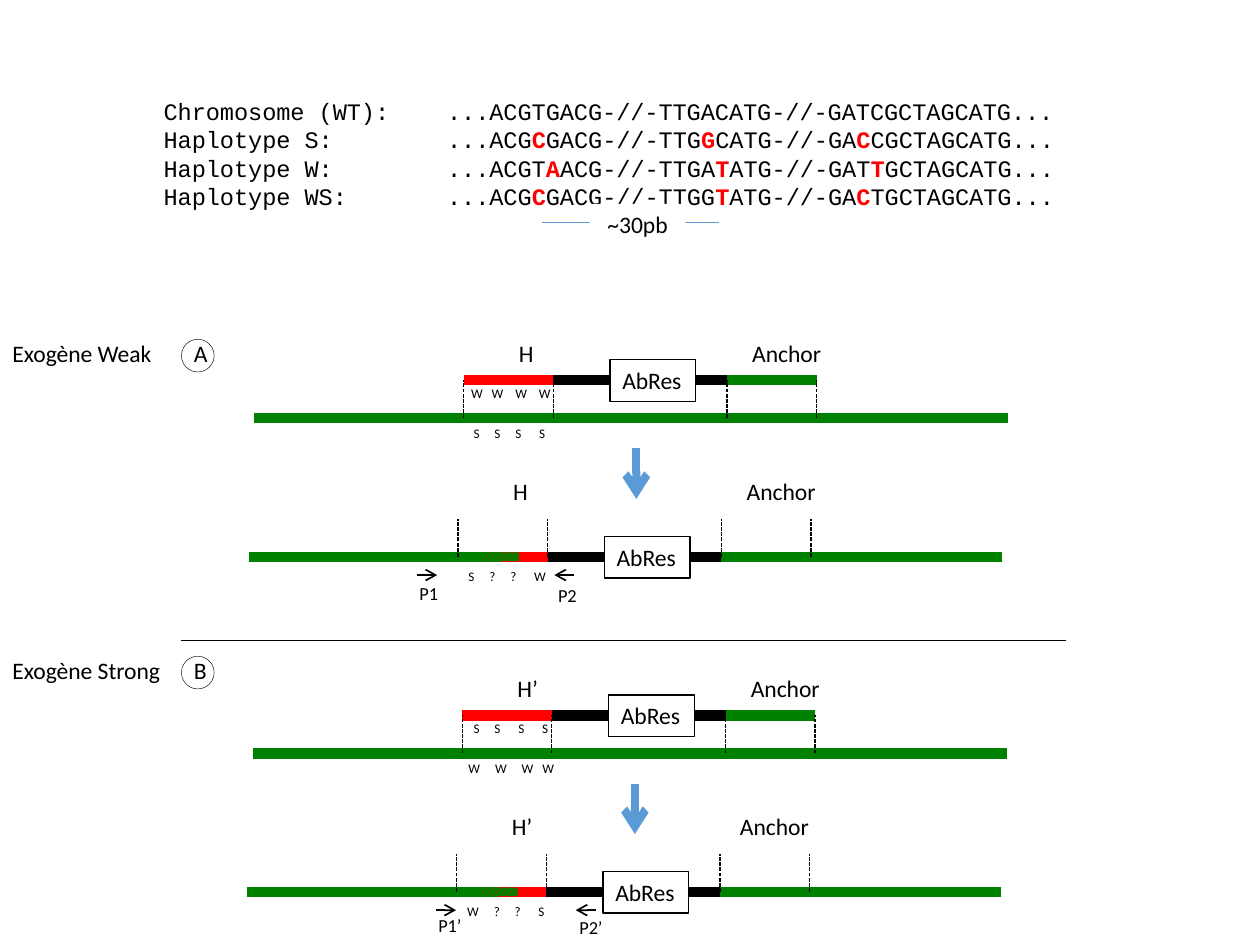
import pptx
import pptx.util
import pptx.dml.color
import pptx.enum.dml
import pptx.enum.shapes
import pptx.enum.text
import pptx.oxml
import pptx.oxml.ns

Pt = pptx.util.Pt
SHAPES = pptx.enum.shapes.MSO_SHAPE
ALIGN = pptx.enum.text.PP_ALIGN
COLORS = {"black": "000000", "white": "FFFFFF", "red": "FF0000",
          "green": "008000", "blue": "5B9BD5"}

HAPLOTYPES = [
    "Chromosome (WT):\t...ACGTGACG-//-TTGACATG-//-GATCGCTAGCATG...",
    "Haplotype S:\t...ACG*C*GACG-//-TTG*G*CATG-//-GA*C*CGCTAGCATG...",
    "Haplotype W:\t...ACGT*A*ACG-//-TTGA*T*ATG-//-GAT*T*GCTAGCATG...",
    "Haplotype WS:\t...ACG*C*GACG-//-TTGG*T*ATG-//-GA*C*TGCTAGCATG...",
]

PANELS = [
    {"letter": "A", "title": "Exogène Weak", "title_top": 190.4,
     "left": 0, "chromosome": 239, "homology": "H", "anchor_tabs": (133.4, 133.4),
     "insert": ("W\tW\tW\tW", 262.1, (11.8, 25.3, 38.8)),
     "target": ("S\tS\tS\tS", 263.5, (11.9, 23.9, 37.5)),
     "product": ("S\t?\t?\tW", 260.6, (11.9, 23.9, 37.5)),
     "primers": [("P1", 232.6, 329), ("P2", 311.8, 330.5)]},
    {"letter": "B", "title": "Exogène Strong", "title_top": 371.5,
     "left": -0.8, "chromosome": 430.5, "homology": "H’", "anchor_tabs": (133.4, 130.4),
     "insert": ("S\tS\tS\tS", 263.5, (11.9, 25.6, 39.2)),
     "target": ("W\tW\tW\tW", 260.6, (15.2, 30.4, 42.2)),
     "product": ("W\t?\t?\tS", 259.9, (15.2, 27.1, 40.7)),
     "primers": [("P1’", 243.4, 519.1), ("P2’", 324, 519.8)]},
]

CHROMOSOME = (145.4, 576)
SITES = (265, 316.1, 415.4, 466.6)
INSERT_RISE = 21.7
PRODUCT_SHIFT = (-3.2, 79.2)
PRIMER_ARROWS = [(5.7, 17.2), (16.5, 5)]

presentation = pptx.Presentation()
presentation.slide_width, presentation.slide_height = Pt(720), Pt(540)
slide = presentation.slides.add_slide(presentation.slide_layouts[6])


def rgb(name):
    return pptx.dml.color.RGBColor.from_string(COLORS[name])


def write(shape, text, size=13.5, font="Calibri", tabs=(), wrap=False, align=ALIGN.LEFT):
    frame = shape.text_frame
    frame.word_wrap = wrap or bool(tabs)
    frame.vertical_anchor = pptx.enum.text.MSO_ANCHOR.TOP
    for index, line in enumerate(text.split("\n")):
        paragraph = frame.add_paragraph() if index else frame.paragraphs[0]
        paragraph.alignment = align
        if tabs:
            properties = paragraph._p.get_or_add_pPr()
            tab_list = pptx.oxml.parse_xml(
                f'<a:tabLst {pptx.oxml.ns.nsdecls("a")}>'
                + "".join(f'<a:tab pos="{Pt(tab)}" algn="l"/>' for tab in tabs)
                + "</a:tabLst>")
            properties.append(tab_list)
        for part, words in enumerate(line.split("*")):
            run = paragraph.add_run()
            run.text = words
            run.font.name, run.font.size = font, Pt(size)
            run.font.bold = part % 2 == 1
            run.font.color.rgb = rgb("red" if part % 2 else "black")


def add_text(text, left, top, width, height=23.8, **style):
    box = slide.shapes.add_textbox(Pt(left), Pt(top), Pt(width), Pt(height))
    write(box, text, **style)


def add_shape(kind, left, top, width, height, fill=None, line_width=None):
    shape = slide.shapes.add_shape(kind, Pt(left), Pt(top), Pt(width), Pt(height))
    shape.shadow.inherit = False
    if fill:
        shape.fill.solid()
        shape.fill.fore_color.rgb = rgb(fill)
    else:
        shape.fill.background()
    if line_width:
        shape.line.color.rgb = rgb("black")
        shape.line.width = Pt(line_width)
    else:
        shape.line.fill.background()
    return shape


def add_line(x1, y1, x2, y2, color="black", width=0.75, dashed=False, arrow=False):
    line = slide.shapes.add_connector(
        pptx.enum.shapes.MSO_CONNECTOR.STRAIGHT, Pt(x1), Pt(y1), Pt(x2), Pt(y2))
    line.line.color.rgb = rgb(color)
    line.line.width = Pt(width)
    if dashed:
        line.line.dash_style = pptx.enum.dml.MSO_LINE.SQUARE_DOT
    if arrow:
        line.line._get_or_add_ln().append(pptx.oxml.parse_xml(
            f'<a:tailEnd {pptx.oxml.ns.nsdecls("a")} type="arrow"/>'))
    line._element.spPr.append(pptx.oxml.parse_xml(
        f'<a:effectLst {pptx.oxml.ns.nsdecls("a")}/>'))


def add_bar(x1, x2, y, color):
    add_line(x1, y, x2, y, color=color, width=6)


def add_construct(panel, left, y, integrated):
    sites = [left + site for site in SITES]
    insert_y = y if integrated else y - INSERT_RISE
    add_bar(left + CHROMOSOME[0], left + CHROMOSOME[1], y, "green")
    add_bar(sites[1] - 27.4 if integrated else sites[0], sites[1], insert_y, "red")
    if not integrated:
        add_bar(sites[2], sites[3], insert_y, "green")
    add_bar(sites[1], sites[2], insert_y, "black")
    add_text(panel["homology"] + "\tAnchor", left + 289.4, y - 49, 194,
             tabs=[panel["anchor_tabs"][integrated]])
    for site in sites:
        add_line(site, y, site, y - INSERT_RISE, dashed=True)
    box = add_shape(SHAPES.RECTANGLE, left + 348.5, insert_y - 11.7, 49, 23.8, "white", 0.75)
    write(box, "AbRes")


def add_alleles(alleles, top):
    text, left, tabs = alleles
    add_text(text, left, top, 68, 16.4, size=7.5, tabs=tabs)


def add_panel(panel):
    left, y = panel["left"], panel["chromosome"]
    product_left, product_y = left + PRODUCT_SHIFT[0], y + PRODUCT_SHIFT[1]
    add_construct(panel, left, y, False)
    add_line(left + 363.6, y + 17.3, left + 363.6, y + 46.1, color="blue", width=4.5, arrow=True)
    add_construct(panel, product_left, product_y, True)
    hatch = add_shape(SHAPES.RECTANGLE, product_left + 279, product_y - 2.5, 20.9, 5)
    hatch.fill.patterned()
    hatch.fill.pattern = pptx.enum.dml.MSO_PATTERN.WIDE_UPWARD_DIAGONAL
    hatch.fill.fore_color.rgb = rgb("red")
    hatch.fill.back_color.rgb = rgb("green")
    add_alleles(panel["insert"], y - 22.4)
    add_alleles(panel["target"], y + 0.5)
    add_alleles(panel["product"], product_y + 2.9)
    for (name, x, top), (start, end) in zip(panel["primers"], PRIMER_ARROWS):
        add_text(name, x, top, 28, 20, size=10.5)
        add_line(x + start, product_y + 10.4, x + end, product_y + 10.4, width=1, arrow=True)
    add_text(panel["letter"], 103.7, panel["title_top"], 22.3)
    add_shape(SHAPES.OVAL, 103.7, panel["title_top"] + 3.5, 18.7, 18.7, line_width=0.25)
    add_text(panel["title"], 0, panel["title_top"], 103, wrap=True)


for panel in PANELS:
    add_panel(panel)
add_line(103.7, 365.8, 609.1, 365.8, width=0.5)
add_text("\n".join(HAPLOTYPES), 86.4, 51.8, 531.4, 89.3, font="Courier New", tabs=[162])
add_line(309.6, 127.4, 411.1, 127.4, color="blue", width=0.5)
distance = add_shape(SHAPES.RECTANGLE, 337, 116.6, 54.7, 23.8, "white")
write(distance, "~30pb", wrap=True, align=ALIGN.CENTER)
presentation.save("out.pptx")
